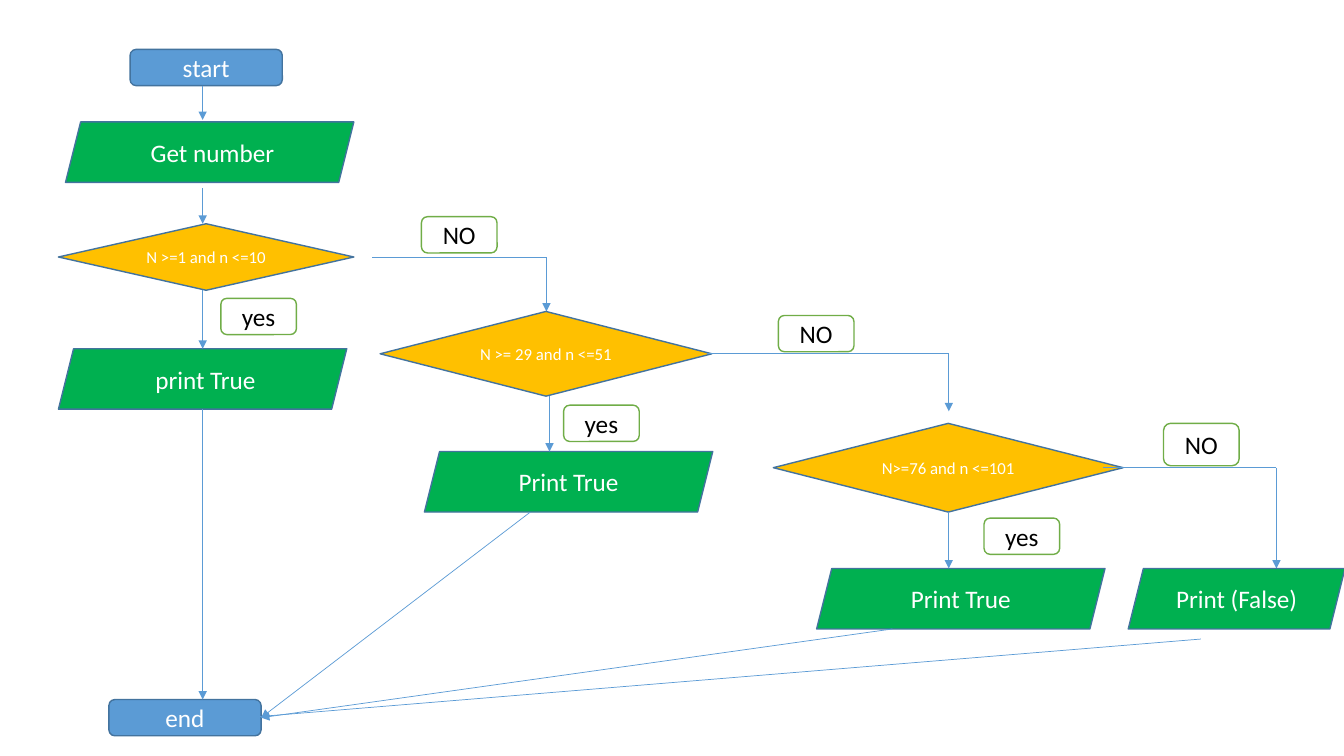
from dataclasses import dataclass

from lxml.etree import SubElement
from pptx import Presentation
from pptx.dml.color import RGBColor as Rgb
from pptx.enum.shapes import MSO_CONNECTOR as Link, MSO_SHAPE as Kind
from pptx.enum.text import MSO_ANCHOR as Anchor, PP_ALIGN as Align
from pptx.oxml.ns import qn
from pptx.util import Inches, Pt


@dataclass(frozen=True)
class Theme:
    font: str = "Calibri"
    body: int = 18
    small: int = 12
    edge: float = 1
    thin: float = 0.5
    blue: str = "5B9BD5"
    navy: str = "43739E"
    green: str = "00B050"
    lime: str = "70AD47"
    gold: str = "FFC000"
    white: str = "FFFFFF"
    black: str = "000000"


THEME = Theme()
COLS, ROWS = 13.33, 7.5  # grid of one-inch cells
STEM = 2.01  # column of the left-hand flow
BAR, STEP, TAG = (1.51, 0.36), (2.86, 0.6), (0.75, 0.36)

# name: preset, fill, line, text colour, type size
STYLES = {
    "bar": (Kind.ROUNDED_RECTANGLE, THEME.blue, THEME.navy, THEME.white, THEME.body),
    "step": (Kind.PARALLELOGRAM, THEME.green, THEME.navy, THEME.white, THEME.body),
    "test": (Kind.DIAMOND, THEME.gold, THEME.navy, THEME.white, THEME.small),
    "tag": (Kind.ROUNDED_RECTANGLE, THEME.white, THEME.lime, THEME.black, THEME.body),
}


def node(slide, style, text, box):
    kind, fill, edge, ink, size = STYLES[style]
    shape = slide.shapes.add_shape(kind, *map(Inches, box))
    shape.shadow.inherit = False
    shape.fill.solid()
    shape.fill.fore_color.rgb = Rgb.from_string(fill)
    shape.line.color.rgb = Rgb.from_string(edge)
    shape.line.width = Pt(THEME.edge)
    frame = shape.text_frame
    frame.word_wrap = True
    frame.vertical_anchor = Anchor.MIDDLE
    para = frame.paragraphs[0]
    para.alignment = Align.CENTER
    run = para.add_run()
    run.text = text
    for name, value in {"name": THEME.font, "size": Pt(size)}.items():
        setattr(run.font, name, value)
    run.font.color.rgb = Rgb.from_string(ink)


def wire(slide, start, stop, head=True):
    line = slide.shapes.add_connector(Link.STRAIGHT, *map(Inches, (*start, *stop)))
    line.line.color.rgb = Rgb.from_string(THEME.blue)
    line.line.width = Pt(THEME.thin)
    if head:
        SubElement(line.line._ln, qn("a:tailEnd"), type="triangle")
    SubElement(line._element.spPr, qn("a:effectLst"))


def intro(slide, box):
    """Start bar and input step, down to the first test."""
    x, y, w, h = box
    node(slide, "bar", "start", (x + 0.64, y, *BAR))
    node(slide, "step", " Get number", (x, y + h - STEP[1], w, STEP[1]))
    wire(slide, (STEM, y + BAR[1]), (STEM, y + 0.7))
    wire(slide, (STEM, y + h + 0.06), (STEM, y + h + 0.41))


def branch(slide, box, text, stem, yes, no, route):
    """Test in box; yes = (label, step left, gap, tag left, tag gap),
    no = tag box, route = (start column, turn column, end row)."""
    x, y, w, h = box
    base, mid = y + h, y + h / 2
    label, left, gap, side, drop = yes
    start, turn, end = route
    node(slide, "test", text, box)
    node(slide, "step", label, (x + left, base + gap, *STEP))
    wire(slide, (stem, base), (stem, base + gap))
    wire(slide, (start, mid), (turn, mid), head=False)
    wire(slide, (turn, mid), (turn, end))
    node(slide, "tag", "NO", no)
    node(slide, "tag", "yes", (stem + side, base + drop, *TAG))


def finish(slide, box):
    """End bar in box, with the links that reach it."""
    x, y, w, h = box
    goal = (x + w, y + h / 2)
    node(slide, "bar", "end", box)
    wire(slide, (STEM, 4.06), (STEM, y))
    for start in ((5.26, 5.08), (8.85, 6.24)):
        wire(slide, start, goal)
    wire(slide, (11.91, 6.34), (goal[0] - 0.15, goal[1]))


def main():
    deck = Presentation()
    deck.slide_width, deck.slide_height = Inches(COLS), Inches(ROWS)
    slide = deck.slides.add_slide(deck.slide_layouts[6])
    intro(slide, (0.65, 0.49, STEP[0], 1.32))
    branch(slide, (0.58, 2.22, 2.93, 0.66), "N >=1 and n <=10", STEM,
           (" print True", 0, 0.58, 0.18, 0.08), (4.18, 2.15, *TAG),
           (3.69, 5.42, 3.09))
    branch(slide, (3.77, 3.09, 3.29, 0.84), "N >= 29 and n <=51", 5.45,
           ("Print True", 0.44, 0.55, 0.14, 0.09), (7.72, 3.13, *TAG),
           (7.01, 9.41, 4.08))
    branch(slide, (7.67, 4.2, 3.47, 0.88), "N>=76 and n <=101", 9.41,
           ("Print True", 0.43, 0.56, 0.35, 0.06), (11.54, 4.2, TAG[0], 0.42),
           (10.94, 12.66, 5.64))
    node(slide, "step", "Print (False)", (11.19, 5.64, 2.15, STEP[1]))
    finish(slide, (1.08, 6.94, *BAR))
    deck.save("out.pptx")


if __name__ == "__main__":
    main()
